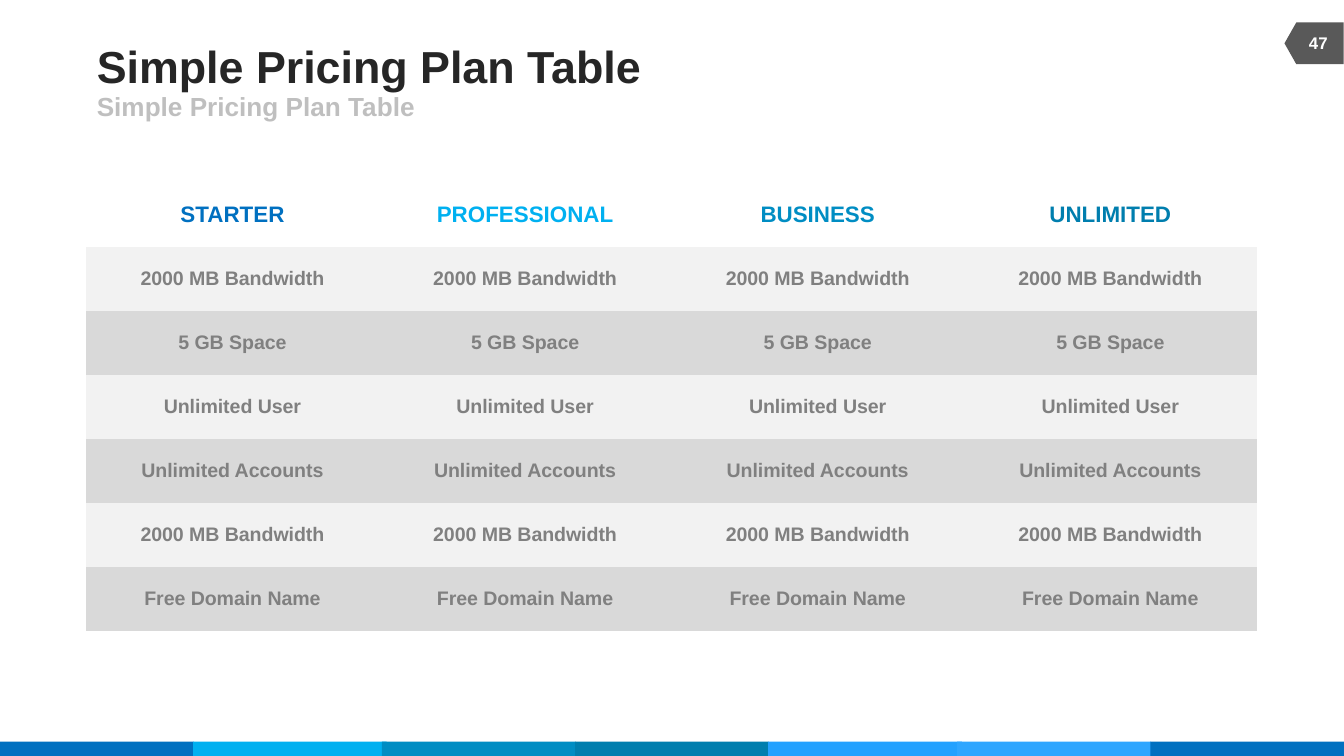
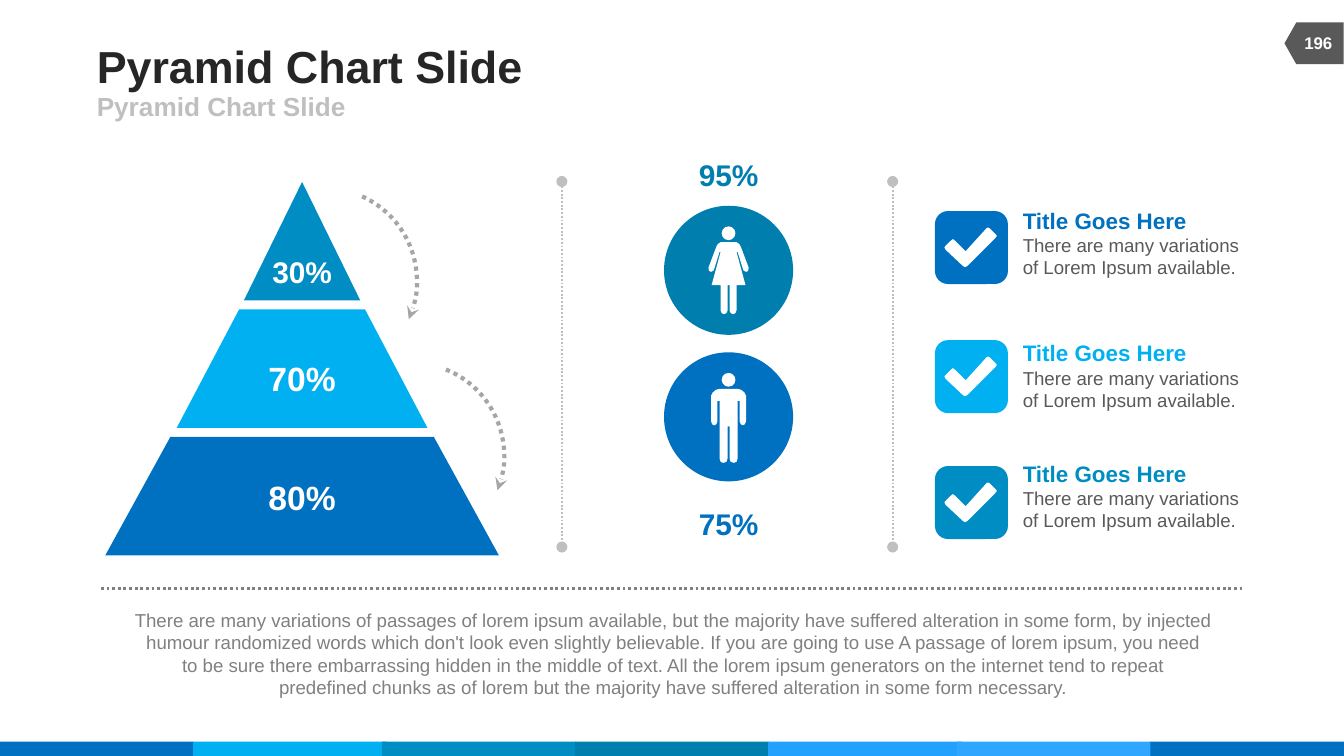
from lxml.etree import SubElement
from pptx import Presentation
from pptx.dml.color import RGBColor
from pptx.enum.dml import MSO_LINE
from pptx.enum.shapes import MSO_CONNECTOR, MSO_SHAPE
from pptx.enum.text import MSO_ANCHOR, PP_ALIGN
from pptx.oxml.ns import qn
from pptx.util import Cm, Pt

BLUE = RGBColor(0x00, 0x70, 0xC0)
SKY = RGBColor(0x00, 0xB0, 0xF0)
OCEAN = RGBColor(0x00, 0x8D, 0xC3)
TEAL = RGBColor(0x00, 0x7E, 0xAE)
AZURE = RGBColor(0x23, 0xA1, 0xFF)
LIGHT_AZURE = RGBColor(0x2F, 0xA6, 0xFF)
WHITE = RGBColor(0xFF, 0xFF, 0xFF)
INK = RGBColor(0x26, 0x26, 0x26)
DARK_GRAY = RGBColor(0x59, 0x59, 0x59)
GRAY = RGBColor(0x80, 0x80, 0x80)
ARROW_GRAY = RGBColor(0xA6, 0xA6, 0xA6)
SILVER = RGBColor(0xBF, 0xBF, 0xBF)
ROW_DARK = RGBColor(0xD9, 0xD9, 0xD9)
ROW_LIGHT = RGBColor(0xF2, 0xF2, 0xF2)

FONT = "Arial"
NO_GRID_STYLE = "{2D5ABB26-0587-4C30-8999-92F81FD0307C}"
BANDS = [(0, BLUE), (3.65, SKY), (7.22, OCEAN), (10.87, TEAL),
         (14.52, AZURE), (18.09, LIGHT_AZURE), (21.74, BLUE)]


def paint(shape, color):
    shape.shadow.inherit = False
    shape.fill.solid()
    shape.fill.fore_color.rgb = color
    shape.line.fill.background()
    return shape


def add_words(page, left, top, width, height, lines, align=PP_ALIGN.CENTER,
              anchor=MSO_ANCHOR.MIDDLE, wrap=False):
    box = page.shapes.add_textbox(Cm(left), Cm(top), Cm(width), Cm(height))
    frame = box.text_frame
    frame.margin_left = frame.margin_right = frame.margin_top = frame.margin_bottom = 0
    frame.vertical_anchor = anchor
    frame.word_wrap = wrap
    for number, (text, size, color, bold) in enumerate(lines):
        para = frame.add_paragraph() if number else frame.paragraphs[0]
        para.text = text
        para.alignment = align
        for span in para.runs:
            span.font.name = FONT
            span.font.size = Pt(size)
            span.font.bold = bold
            span.font.color.rgb = color


deck = Presentation()
deck.slide_width = Cm(25.4)
deck.slide_height = Cm(14.29)

pages = []
for title, number in [("Simple Pricing Plan Table", "47"), ("Pyramid Chart Slide", "196")]:
    page = deck.slides.add_slide(deck.slide_layouts[6])
    pages.append(page)
    for left, color in BANDS:
        paint(page.shapes.add_shape(MSO_SHAPE.RECTANGLE, Cm(left), Cm(14.02), Cm(3.66), Cm(0.27)), color)
    badge = page.shapes.add_shape(MSO_SHAPE.FLOWCHART_OFFPAGE_CONNECTOR,
                                  Cm(24.44), Cm(0.26), Cm(0.79), Cm(1.12))
    badge.rotation = 90
    paint(badge, DARK_GRAY)
    add_words(page, 1.83, 0.74, 15.67, 0.99, [(title, 24, INK, True)], PP_ALIGN.LEFT)
    add_words(page, 1.83, 1.73, 11.43, 0.56, [(title, 14, SILVER, True)], PP_ALIGN.LEFT)
    add_words(page, 24.38, 0.43, 1.07, 0.76, [(number, 9, WHITE, True)])

pricing_page, pyramid_page = pages

plans = [("STARTER", BLUE), ("PROFESSIONAL", SKY), ("BUSINESS", OCEAN), ("UNLIMITED", TEAL)]
features = ["2000 MB Bandwidth", "5 GB Space", "Unlimited User", "Unlimited Accounts",
            "2000 MB Bandwidth", "Free Domain Name"]
table_frame = pricing_page.shapes.add_table(len(features) + 1, len(plans),
                                            Cm(1.63), Cm(3.46), Cm(22.12), Cm(8.47))
next(table_frame.element.iter(qn("a:tableStyleId"))).text = NO_GRID_STYLE
table = table_frame.table
table.first_row = False
table.horz_banding = False
for row_number, row in enumerate(table.rows):
    row.height = Cm(1.21)
    for cell, (plan, plan_color) in zip(row.cells, plans):
        cell.vertical_anchor = MSO_ANCHOR.MIDDLE
        para = cell.text_frame.paragraphs[0]
        para.text = features[row_number - 1] if row_number else plan
        para.alignment = PP_ALIGN.CENTER
        font = para.runs[0].font
        font.name = FONT
        font.bold = True
        font.size = Pt(10.5 if row_number else 12)
        font.color.rgb = GRAY if row_number else plan_color
        if row_number:
            cell.fill.solid()
            cell.fill.fore_color.rgb = ROW_LIGHT if row_number % 2 else ROW_DARK
        else:
            cell.fill.background()

shapes = pyramid_page.shapes
outlines = []

pyramid_center = 5.71
tiers = [(0, 110, OCEAN), (119, 237, SKY), (249, 372, BLUE)]
for number, (top_half, bottom_half, color) in enumerate(tiers):
    corners = [(-bottom_half, 224), (-top_half, 0), (top_half, 0), (bottom_half, 224)]
    outlines.append((pyramid_center, 3.44 + 2.41 * number, corners, color))

check_mark = [(53, 104), (57, 106), (61, 104), (114, 51), (117, 47), (114, 43),
              (104, 33), (100, 31), (97, 33), (58, 76), (38, 56), (34, 53),
              (30, 56), (20, 66), (18, 69), (20, 73)]
items = [(3.99, 3.91, BLUE), (6.43, 6.42, SKY), (8.81, 8.69, OCEAN)]
for icon_top, text_top, color in items:
    icon = shapes.add_shape(MSO_SHAPE.ROUNDED_RECTANGLE, Cm(17.67), Cm(icon_top), Cm(1.38), Cm(1.38))
    icon.adjustments[0] = 0.18
    paint(icon, color)
    outlines.append((17.67, icon_top, check_mark, WHITE))
    add_words(pyramid_page, 19.33, text_top, 4.55, 1.38,
              [("Title Goes Here", 12, color, True),
               ("There are many variations\nof Lorem Ipsum available.", 10, DARK_GRAY, False)],
              PP_ALIGN.LEFT, MSO_ANCHOR.TOP, True)

people_center = 13.77
woman_half = [(15, 0), (20, 3), (23, 8), (38, 48), (37, 54), (33, 56), (28, 53),
              (17, 18), (15, 18), (32, 81), (15, 81), (15, 129), (13, 134),
              (9, 136), (4, 134), (2, 129), (2, 81)]
man_half = [(17, 0), (24, 2), (30, 7), (33, 13), (33, 61), (31, 67), (27, 69),
            (23, 67), (21, 61), (21, 23), (17, 23), (17, 132), (15, 138),
            (10, 140), (4, 138), (2, 132), (2, 71)]
people = [(3.89, woman_half, TEAL, "95%", 2.95), (6.66, man_half, BLUE, "75%", 9.55)]
for top, half, color, share, share_top in people:
    paint(shapes.add_shape(MSO_SHAPE.OVAL, Cm(people_center - 1.22), Cm(top), Cm(2.44), Cm(2.44)), color)
    paint(shapes.add_shape(MSO_SHAPE.OVAL, Cm(people_center - 0.13), Cm(top + 0.39), Cm(0.26), Cm(0.26)), WHITE)
    mirrored = [(-x, y) for x, y in reversed(half)]
    outlines.append((people_center, top + 0.69, half + mirrored, WHITE))
    add_words(pyramid_page, people_center - 0.6, share_top, 1.2, 0.69, [(share, 16, color, True)])

for left, top, points, color in outlines:
    builder = shapes.build_freeform(*points[0], scale=Cm(0.01))
    builder.add_line_segments(points[1:], close=True)
    paint(builder.convert_to_shape(Cm(left), Cm(top)), color)

for share, size, top, height in [("30%", 16, 4.78, 0.69), ("70%", 18, 6.73, 0.79), ("80%", 18, 8.99, 0.79)]:
    add_words(pyramid_page, pyramid_center - 0.66, top, 1.32, height,
              [(share, size, WHITE, True)], anchor=MSO_ANCHOR.BOTTOM)

strokes = []
for left, top, angle in [(4.37, 3.56, 24.2), (6.02, 6.86, 21.9)]:
    arc = shapes.add_shape(MSO_SHAPE.ARC, Cm(left), Cm(top), Cm(3.51), Cm(3.51))
    arc.rotation = angle
    arc.fill.background()
    strokes.append((arc, ARROW_GRAY, 2.25, {"a:tailEnd": "stealth"}))
oval_ends = {"a:headEnd": "oval", "a:tailEnd": "oval"}
for start_x, start_y, end_x, end_y, color, width, ends in [
        (10.62, 3.43, 10.62, 10.34, SILVER, 1, oval_ends),
        (16.87, 3.43, 16.87, 10.34, SILVER, 1, oval_ends),
        (1.91, 11.13, 23.5, 11.13, GRAY, 1.5, {})]:
    divider = shapes.add_connector(MSO_CONNECTOR.STRAIGHT, Cm(start_x), Cm(start_y), Cm(end_x), Cm(end_y))
    strokes.append((divider, color, width, ends))
for stroke, color, width, ends in strokes:
    stroke.line.color.rgb = color
    stroke.line.width = Pt(width)
    stroke.line.dash_style = MSO_LINE.ROUND_DOT
    properties = stroke.element.spPr
    for tag, kind in ends.items():
        SubElement(properties.find(qn("a:ln")), qn(tag), type=kind)
    SubElement(properties, qn("a:effectLst"))

summary = (
    "There are many variations of passages of lorem ipsum available, but the majority have "
    "suffered alteration in some form, by injected humour randomized words which don't look "
    "even slightly believable. If you are going to use A passage of lorem ipsum, you need\n"
    "to be sure there embarrassing hidden in the middle of text. All the lorem ipsum "
    "generators on the internet tend to repeat\n"
    "predefined chunks as of lorem but the majority have suffered alteration in some form necessary."
)
add_words(pyramid_page, 1.93, 11.51, 21.56, 1.7, [(summary, 10, GRAY, False)],
          anchor=MSO_ANCHOR.TOP, wrap=True)

deck.save("out.pptx")
